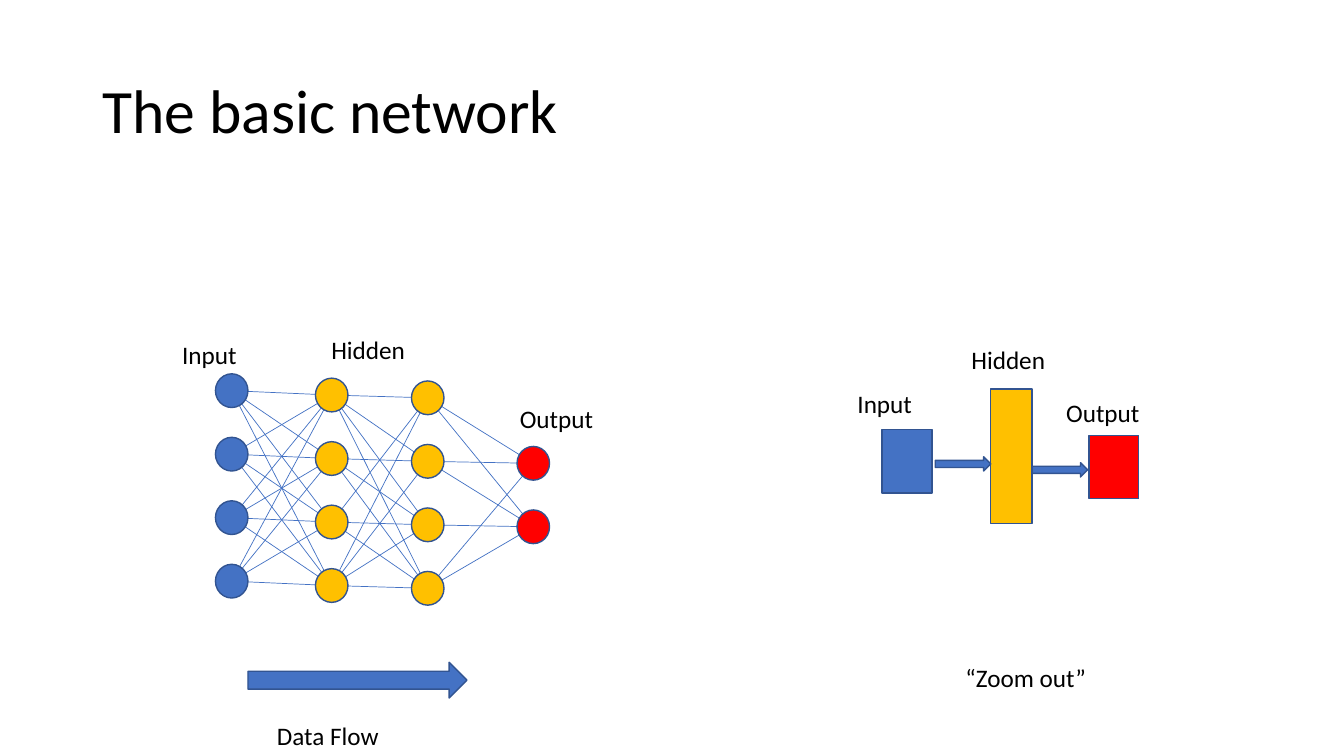
"""Build a slide showing a small neural network and its zoomed-out block view."""
from lxml import etree
from pptx import Presentation, util as u
from pptx.dml.color import RGBColor
from pptx.enum import shapes, text
from pptx.oxml.ns import qn

COLOURS = {"blue": "4472C4", "gold": "FFC000", "red": "FF0000",
           "edge": "325491", "ink": "000000"}
KINDS = shapes.MSO_SHAPE


def add_filled(kind, colour, left, top, width, height):
    shape = page.shapes.add_shape(kind, u.Cm(left), u.Cm(top), u.Cm(width), u.Cm(height))
    shape.shadow.inherit = False
    shape.fill.solid()
    shape.fill.fore_color.rgb = RGBColor.from_string(COLOURS[colour])
    shape.line.color.rgb = RGBColor.from_string(COLOURS["edge"])
    shape.line.width = u.Pt(1)


def add_text(words, left, top, width, height=1.03, size=18):
    box = page.shapes.add_textbox(u.Cm(left), u.Cm(top), u.Cm(width), u.Cm(height))
    para = box.text_frame.paragraphs[0]
    para.text = words
    para.font.name = "Calibri"
    para.font.size = u.Pt(size)
    para.font.color.rgb = RGBColor.from_string(COLOURS["ink"])
    return box.text_frame


deck = Presentation()
deck.slide_width, deck.slide_height = u.Cm(33.87), u.Cm(19.05)
page = deck.slides.add_slide(deck.slide_layouts[6])

title = add_text("The basic network", 2.33, 1.01, 29.21, 3.68, 44)
title.word_wrap = True
title.vertical_anchor = text.MSO_ANCHOR.MIDDLE
title.paragraphs[0].line_spacing = 0.9

node_width, node_height, pitch = 0.82, 0.85, 1.6
layers = [("blue", 5.43, 9.42, 4), ("gold", 7.95, 9.53, 4),
          ("gold", 10.37, 9.6, 4), ("red", 13.03, 11.25, 2)]
unlinked = {(1, 1, 0), (1, 2, 1), (2, 2, 0)}

centres = [[(left + node_width / 2, top + row * pitch + node_height / 2)
            for row in range(count)] for colour, left, top, count in layers]
for layer, (sources, targets) in enumerate(zip(centres, centres[1:])):
    for source, start in enumerate(sources):
        for target, end in enumerate(targets):
            if (layer, source, target) in unlinked:
                continue
            link = page.shapes.add_connector(
                shapes.MSO_CONNECTOR.STRAIGHT, *(u.Cm(value) for value in start + end))
            link.line.color.rgb = RGBColor.from_string(COLOURS["blue"])
            link.line.width = u.Pt(0.5)
            etree.SubElement(link._element.spPr, qn("a:effectLst"))

for colour, left, top, count in layers:
    for row in range(count):
        add_filled(KINDS.OVAL, colour, left, top + row * pitch, node_width, node_height)

for colour, left, top, width, height in [
        ("blue", 22.23, 10.82, 1.26, 1.6),
        ("gold", 24.97, 9.8, 1.04, 3.39),
        ("red", 27.44, 10.97, 1.26, 1.6)]:
    add_filled(KINDS.RECTANGLE, colour, left, top, width, height)

for left, top, width, height in [
        (6.25, 16.69, 5.52, 0.9),
        (23.57, 11.51, 1.4, 0.36),
        (26.01, 11.66, 1.4, 0.36)]:
    add_filled(KINDS.RIGHT_ARROW, "blue", left, top, width, height)

for words, left, top, width in [
        ("Input", 4.34, 8.43, 1.9), ("Hidden", 8.1, 8.31, 2.39),
        ("Output", 12.85, 10.03, 2.39), ("Data Flow", 6.73, 18.03, 3.1),
        ("Hidden", 24.23, 8.56, 2.39), ("Input", 21.36, 9.65, 1.9),
        ("Output", 26.62, 9.88, 2.39), ("“Zoom out”", 24.08, 16.56, 3.56)]:
    label = add_text(words, left, top, width)
    label.word_wrap = False
    label.auto_size = text.MSO_AUTO_SIZE.SHAPE_TO_FIT_TEXT

deck.save("out.pptx")
